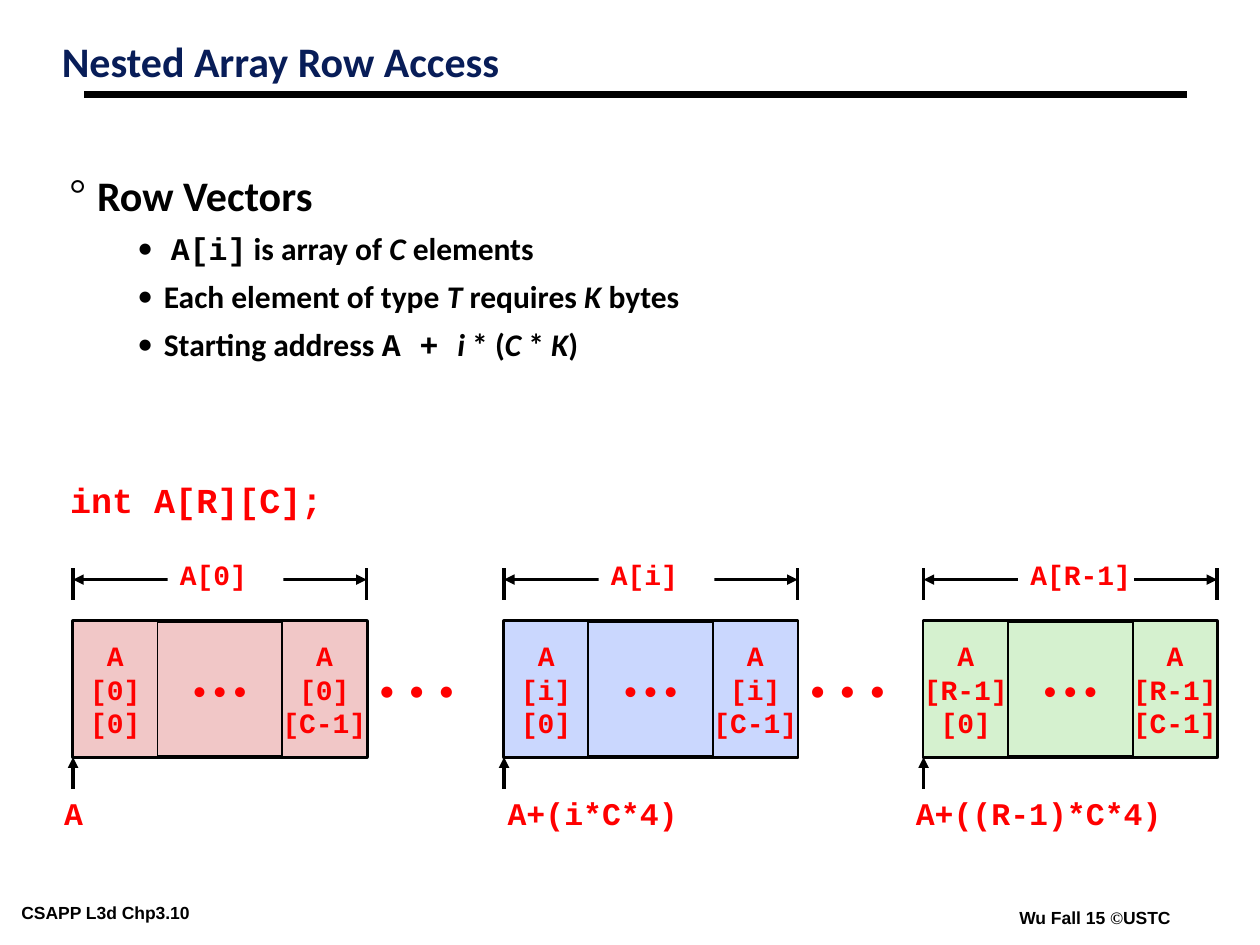
from lxml.etree import SubElement
from pptx import Presentation
from pptx.dml.color import RGBColor
from pptx.enum.shapes import MSO_CONNECTOR, MSO_SHAPE
from pptx.enum.text import MSO_ANCHOR, PP_ALIGN
from pptx.oxml.ns import qn
from pptx.util import Inches, Pt

COLORS = {"ink": "000000", "title": "081D58", "code": "FF0000", "paper": "FFFFFF",
          "first": "F1C7C7", "middle": "CAD7FE", "last": "D5F1CF"}
SANS, MONO, FOOT, SERIF = "Calibri", "Courier New", "Arial", "Times New Roman"

TITLE = "Nested Array Row Access"
HEADING = "Row Vectors"
# Each bullet is a list of (text, font, italic)
BULLETS = [
    [(" ", SANS, False), ("A[i]", MONO, False), (" is array of ", SANS, False),
     ("C", SANS, True), (" elements", SANS, False)],
    [("Each element of type ", SANS, False), ("T ", SANS, True),
     ("requires ", SANS, False), ("K ", SANS, True), ("bytes", SANS, False)],
    [("Starting address ", SANS, False), ("A + ", MONO, False), ("i", SANS, True),
     (" * (", SANS, False), ("C ", SANS, True), ("* ", SANS, False),
     ("K", SANS, True), (")", SANS, False)],
]
DECLARATION = "int A[R][C];"
DOTS = "• • •"
# Row index, left edge, fill, start address, left and width of the address
ROWS = [
    ("0", 0.58, "first", "A", (0.37, 0.43)),
    ("i", 4.0, "middle", "A+(i*C*4)", (3.93, 1.98)),
    ("R-1", 7.33, "last", "A+((R-1)*C*4)", (7.17, 2.5)),
]
ROW_W, CELL_W, ROW_TOP, ROW_H = 2.33, 0.67, 4.93, 1.08
SPAN_Y, TICK_TOP, TICK_BOTTOM = 4.6, 4.51, 4.76
ARROW_LEN, ADDRESS_Y = 0.25, 6.25
WIDE, NARROW = (0.1, 0.05), (0.07, 0.03)

prs = Presentation()
prs.slide_width, prs.slide_height = Inches(10), Inches(7.5)
s = prs.slides.add_slide(prs.slide_layouts[6])


def rgb(name):
    return RGBColor.from_string(COLORS[name])


def style(r, size, font, color, bold=True, italic=False):
    f = r.font
    f.size, f.name, f.bold, f.italic = Pt(size), font, bold, italic
    f.color.rgb = rgb(color)


def frame(sp, margins, wrap, anchor=MSO_ANCHOR.TOP):
    tf = sp.text_frame
    tf.margin_left = tf.margin_right = Inches(margins[0])
    tf.margin_top = tf.margin_bottom = Inches(margins[1])
    tf.word_wrap, tf.vertical_anchor = wrap, anchor
    return tf


def fill_text(tf, text, align, *font):
    tf.text = text
    for p in tf.paragraphs:
        p.alignment = align
        for r in p.runs:
            style(r, *font)


def text_box(box, margins=WIDE, wrap=True):
    return frame(s.shapes.add_textbox(*map(Inches, box)), margins, wrap)


def block(shapes, box, fill, text, *font, line=None, align=PP_ALIGN.CENTER):
    sp = shapes.add_shape(MSO_SHAPE.RECTANGLE, *map(Inches, box))
    sp.shadow.inherit = False
    sp.fill.solid()
    sp.fill.fore_color.rgb = rgb(fill)
    if line:
        sp.line.color.rgb = rgb("ink")
        sp.line.width = Pt(line)
    else:
        sp.line.fill.background()
    tf = frame(sp, WIDE, False, MSO_ANCHOR.MIDDLE)
    fill_text(tf, text, align, *font)
    return tf


def rule(shapes, x1, y1, x2, y2, width=2, ends=()):
    """Straight line; ends lists headEnd and/or tailEnd to get arrowheads."""
    c = shapes.add_connector(MSO_CONNECTOR.STRAIGHT, *map(Inches, (x1, y1, x2, y2)))
    c.line.color.rgb = rgb("ink")
    c.line.width = Pt(width)
    for end in ends:
        SubElement(c.line._get_or_add_ln(), qn(f"a:{end}"), type="triangle")
    SubElement(c._element.spPr, qn("a:effectLst"))


def bullet(p, char, font, left, hang, spacing):
    pPr = p._p.get_or_add_pPr()
    pPr.set("marL", str(Inches(left)))
    pPr.set("indent", str(-Inches(hang)))
    color = SubElement(pPr, qn("a:buClr"))
    SubElement(color, qn("a:srgbClr"), val=COLORS["ink"])
    SubElement(pPr, qn("a:buFont"), typeface=font)
    SubElement(pPr, qn("a:buChar"), char=char)
    p.line_spacing = spacing


def add_runs(p, runs, size):
    for text, font, italic in runs:
        r = p.add_run()
        r.text = text
        style(r, size, font, "ink", True, italic)


def draw_row(index, left, fill):
    """One row of the array with its cells and the span marker above it."""
    shapes = s.shapes.add_group_shape().shapes
    right = left + ROW_W
    block(shapes, (left, ROW_TOP, ROW_W, ROW_H), fill, DOTS,
          16, SANS, "code", False, line=2.25)
    for x, column in ((left, "0"), (right - CELL_W, "C-1")):
        block(shapes, (x, ROW_TOP, CELL_W, ROW_H), fill, f"A\n[{index}]\n[{column}]",
              16, MONO, "code", line=1)
    for x in (left, right):
        rule(shapes, x, TICK_TOP, x, TICK_BOTTOM)
    rule(shapes, left, SPAN_Y, right, SPAN_Y, ends=("headEnd", "tailEnd"))
    block(shapes, (left + 0.75, 4.35, 0.92, 0.42), "paper", f"A[{index}]",
          16, MONO, "code", align=PP_ALIGN.LEFT)


# Title and footer
rule(s.shapes, 0.67, 0.75, 9.42, 0.75, 4.5)
tf = text_box((0.42, 0.31, 7.58, 0.63), NARROW)
fill_text(tf, TITLE, PP_ALIGN.LEFT, 24, SANS, "title")
tf.paragraphs[0].line_spacing = 0.87
for box, runs in (
    ((0.1, 7.13, 2.03, 0.22), [("CSAPP L3d Chp3.10", FOOT, False)]),
    ((8.02, 7.17, 1.38, 0.22), [("Wu Fall 15 ", FOOT, False), ("©", SERIF, False),
                                ("USTC", FOOT, False)]),
):
    add_runs(text_box(box, NARROW, False).paragraphs[0], runs, 10)

# Bullets
tf = text_box((0.48, 1.41, 6.52, 1.59), NARROW)
p = tf.paragraphs[0]
bullet(p, "°", SERIF, 0.22, 0.22, 0.75)
add_runs(p, [(HEADING, SANS, False)], 24)
for runs in BULLETS:
    p = tf.add_paragraph()
    p.level = 1
    bullet(p, "•", SANS, 0.75, 0.21, 0.85)
    p.space_before = Pt(9)
    add_runs(p, runs, 18)

# Array diagram
fill_text(text_box((0.26, 3.75, 2.4, 0.44), wrap=False), DECLARATION,
          PP_ALIGN.RIGHT, 20, MONO, "code")
for _, left, *_ in ROWS[:-1]:
    tf = block(s.shapes, (left + ROW_W, ROW_TOP, ROW_H, ROW_H), "paper", DOTS,
               18, SANS, "code", False, align=PP_ALIGN.LEFT)
    # Letter spacing of 2 pt, in hundredths
    tf.paragraphs[0].runs[0].font._element.set("spc", "200")
for index, left, fill, address, (x, width) in ROWS:
    draw_row(index, left, fill)
    bottom = ROW_TOP + ROW_H
    rule(s.shapes, left, bottom + ARROW_LEN, left, bottom, ends=("tailEnd",))
    align = PP_ALIGN.CENTER if index == "0" else PP_ALIGN.LEFT
    fill_text(text_box((x, ADDRESS_Y, width, 0.4)), address, align, 18, MONO, "code")

prs.save("out.pptx")
